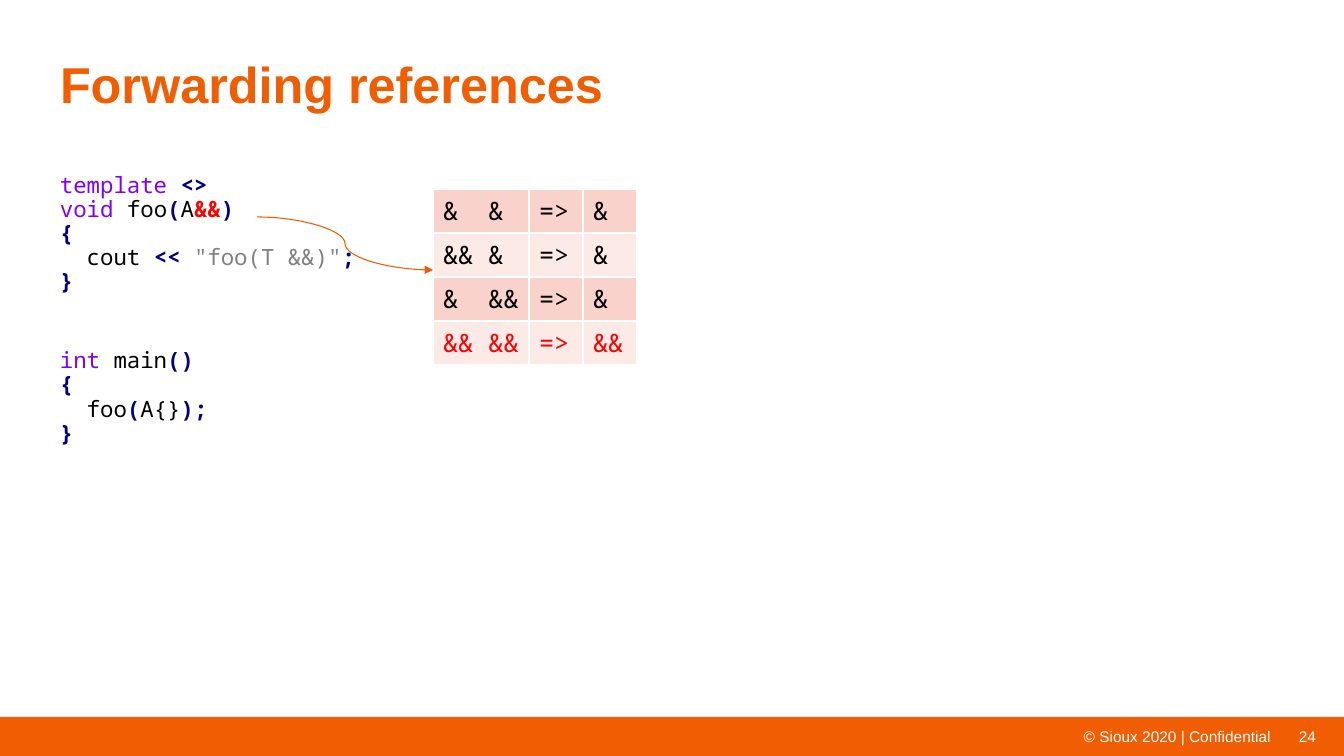
from pptx import Presentation
from pptx.dml.color import RGBColor
from pptx.enum.shapes import MSO_CONNECTOR, MSO_SHAPE
from pptx.enum.text import MSO_ANCHOR, PP_ALIGN
from pptx.oxml import parse_xml
from pptx.oxml.ns import nsdecls
from pptx.util import Pt

RECT, CURVE = MSO_SHAPE.RECTANGLE, MSO_CONNECTOR.CURVE
TOP, MIDDLE = MSO_ANCHOR.TOP, MSO_ANCHOR.MIDDLE
LEFT, CENTER, RIGHT = PP_ALIGN.LEFT, PP_ALIGN.CENTER, PP_ALIGN.RIGHT

SCALE = 12192000 / 1344
SANS, MONO = "Arial", "Noto Sans Mono"
COLORS = {
    "orange": "F15D03", "arrow": "EF5A00", "white": "FFFFFF",
    "plain": "000000", "keyword": "8000FF", "operator": "000080",
    "string": "808080", "red": "FF0000",
    "band_dark": "FAD2CC", "band_light": "FCEAE7",
}

# Each code line is a list of (text, colour) pieces
TEMPLATE_CODE = [
    [("template", "keyword"), (" ", "plain"), ("<>", "operator")],
    [("void", "keyword"), (" foo", "plain"), ("(", "operator"),
     ("A", "plain"), ("&&", "red"), (")", "operator")],
    [("{", "operator")],
    [("  cout ", "plain"), ("<<", "operator"), (" ", "plain"),
     ('"foo(T &&)"', "string"), (";", "operator")],
    [("}", "operator")],
]
MAIN_CODE = [
    [("int", "keyword"), (" main", "plain"), ("()", "operator")],
    [("{", "operator")],
    [("  foo", "plain"), ("(", "operator"), ("A{}", "plain"),
     (");", "operator")],
    [("}", "operator")],
]
COLLAPSE_RULES = [
    ("&  &", "=>", "&"),
    ("&& &", "=>", "&"),
    ("&  &&", "=>", "&"),
    ("&& &&", "=>", "&&"),
]


def px(n):
    return round(n * SCALE)


def rgb(name):
    return RGBColor.from_string(COLORS[name])


def set_font(font, name, size, color=None, bold=None):
    font.name, font.size, font.bold = name, Pt(size), bold
    if color:
        font.color.rgb = rgb(color)


def set_frame(tf, anchor=TOP, wrap=True, side=0):
    tf.word_wrap, tf.vertical_anchor = wrap, anchor
    tf.margin_left = tf.margin_right = px(side)
    tf.margin_top = tf.margin_bottom = 0


def add_title(slide, text, x, y, w, h):
    sp = slide.shapes.title
    sp.left, sp.top, sp.width, sp.height = map(px, (x, y, w, h))
    set_frame(sp.text_frame)
    p = sp.text_frame.paragraphs[0]
    p.text, p.alignment, p.line_spacing = text, LEFT, 0.9
    set_font(p.font, SANS, 36, "orange", True)


def add_bar(slide, x, y, w, h, text="", align=CENTER, wrap=True, side=0):
    sp = slide.shapes.add_shape(RECT, px(x), px(y), px(w), px(h))
    sp.shadow.inherit = False
    sp.fill.solid()
    sp.fill.fore_color.rgb = rgb("orange")
    sp.line.fill.background()
    if text:
        set_frame(sp.text_frame, MIDDLE, wrap, side)
        p = sp.text_frame.paragraphs[0]
        p.text, p.alignment = text, align
        set_font(p.font, SANS, 11, "white")


def add_code(slide, blocks, x, y, w, h):
    tf = slide.shapes.add_textbox(px(x), px(y), px(w), px(h)).text_frame
    set_frame(tf)
    for i, lines in enumerate(blocks):
        p = tf.add_paragraph() if i else tf.paragraphs[0]
        p.line_spacing, p.space_before = 0.9, Pt(39 if i else 0)
        set_font(p.font, MONO, 16)
        for j, line in enumerate(lines):
            if j:
                p.add_line_break()
            for text, color in line:
                r = p.add_run()
                r.text = text
                r.font.color.rgb = rgb(color)
                r.font.bold = color in ("operator", "red")


def add_borders(cell):
    # Borders must come before the fill in the cell properties
    tc_pr = cell._tc.get_or_add_tcPr()
    for i, side in enumerate(("lnL", "lnR", "lnT", "lnB")):
        tc_pr.insert(i, parse_xml(
            f'<a:{side} {nsdecls("a")} w="12700"><a:solidFill>'
            f'<a:srgbClr val="{COLORS["white"]}"/></a:solidFill></a:{side}>'))


def add_rules_table(slide, rows, x, y, widths, row_h):
    frame = slide.shapes.add_table(len(rows), len(widths), px(x), px(y),
                                   px(sum(widths)), px(row_h * len(rows)))
    table = frame.table
    for column, width in zip(table.columns, widths):
        column.width = px(width)
    for i, row in enumerate(rows):
        table.rows[i].height = px(row_h)
        color = "red" if i == len(rows) - 1 else "plain"
        for j, text in enumerate(row):
            cell = table.cell(i, j)
            cell.fill.solid()
            cell.fill.fore_color.rgb = rgb("band_light" if i % 2 else "band_dark")
            add_borders(cell)
            p = cell.text_frame.paragraphs[0]
            p.text = text
            set_font(p.font, MONO, 18, color, False)


def add_curved_arrow(slide, x1, y1, x2, y2):
    line = slide.shapes.add_connector(CURVE, px(x1), px(y1), px(x2), px(y2))
    line.line.color.rgb = rgb("arrow")
    line.line.width = Pt(0.75)
    line.line._get_or_add_ln().append(
        parse_xml(f'<a:tailEnd {nsdecls("a")} type="triangle"/>'))
    line._element.spPr.append(parse_xml(f'<a:effectLst {nsdecls("a")}/>'))


def main():
    prs = Presentation()
    prs.slide_width, prs.slide_height = px(1344), px(756)
    slide = prs.slides.add_slide(prs.slide_layouts[5])

    # Footer
    add_bar(slide, 0, 717, 1344, 39)
    add_bar(slide, 1292, 726, 31, 20, "24")
    add_bar(slide, 1072, 727, 203, 19, "© Sioux 2020 | Confidential",
            RIGHT, wrap=False, side=4)

    # Title and code
    add_title(slide, "Forwarding references", 60, 60, 1223, 123)
    add_code(slide, [TEMPLATE_CODE, MAIN_CODE], 60, 174, 1223, 204)

    # Reference collapsing rules
    add_rules_table(slide, COLLAPSE_RULES, 433, 189, [96, 54, 54], 44)
    add_curved_arrow(slide, 257, 217, 433, 270)

    prs.save("out.pptx")


if __name__ == "__main__":
    main()
